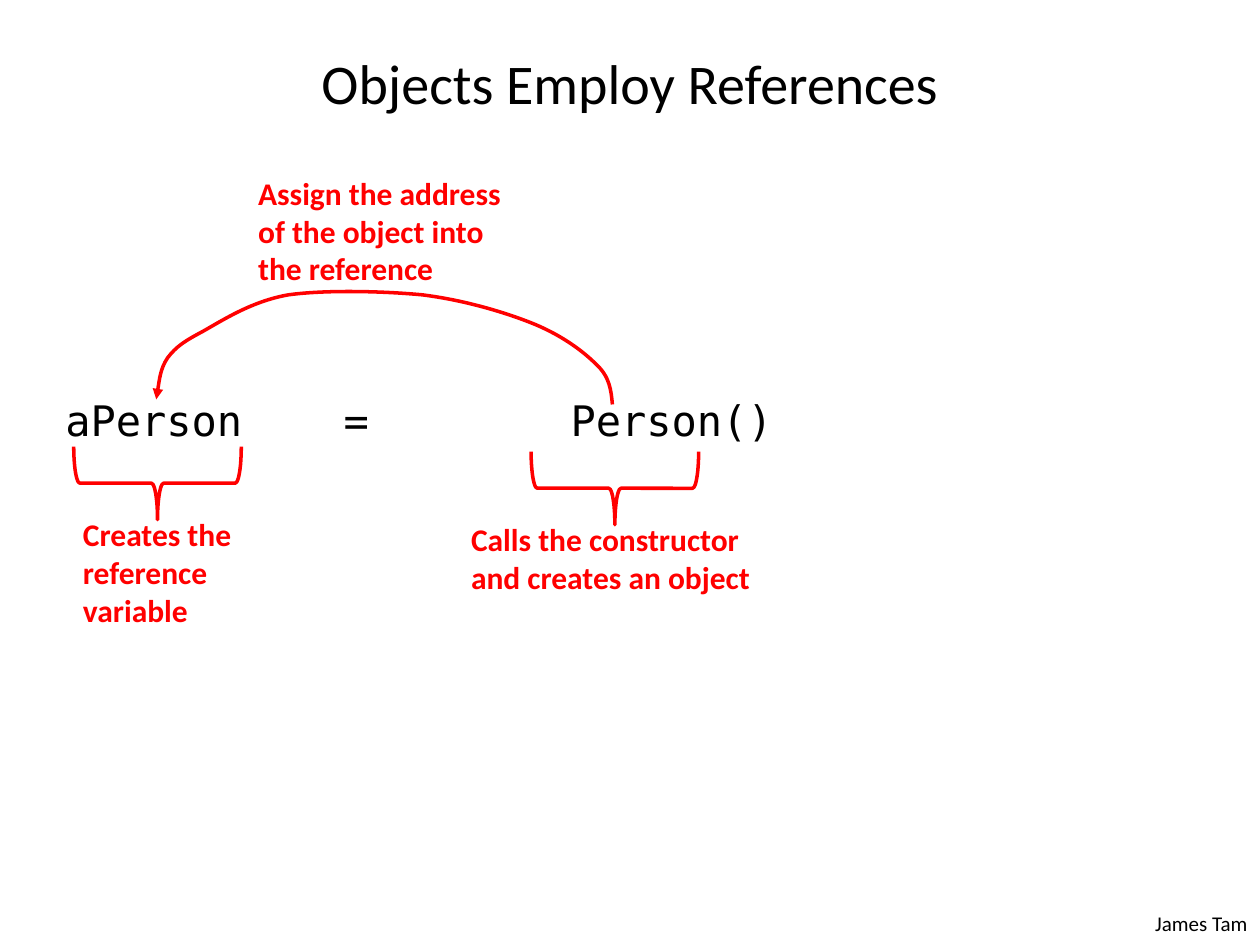
"""Build a slide on how assigning an object stores its address in a reference."""
from dataclasses import dataclass

from lxml import etree
from pptx import Presentation
from pptx.dml.color import RGBColor
from pptx.enum import shapes, text
from pptx.oxml.ns import qn
from pptx.util import Inches, Pt

COLORS = {"ink": "000000", "accent": "FF0000"}
BODY_FONT = "Calibri"
CODE_FONT = "DejaVu Sans Mono"
LINE_WIDTH = Pt(2)
BRACE_DEPTH, BRACE_SPAN = 0.58, 1.33
CODE_PARTS = ("aPerson", "=", "Person()")
CODE_TAB_STOPS = (2.21, 4.01)
ARROW_POINTS = (
    (4.86, 3.21),
    (4.85, 3.10), (4.84, 2.99), (4.73, 2.89),
    (4.62, 2.78), (4.44, 2.65), (4.21, 2.56),
    (3.98, 2.47), (3.67, 2.38), (3.35, 2.34),
    (3.03, 2.31), (2.58, 2.30), (2.29, 2.34),
    (2.00, 2.39), (1.77, 2.54), (1.61, 2.63),
    (1.46, 2.71), (1.40, 2.75), (1.33, 2.84),
    (1.27, 2.93), (1.24, 3.17), (1.24, 3.17),
)


@dataclass(frozen=True)
class Box:
    left: float
    top: float
    width: float
    height: float

    def lengths(self) -> tuple:
        return tuple(Inches(n) for n in (self.left, self.top, self.width, self.height))


@dataclass(frozen=True)
class BraceNote:
    wording: str
    box: Box
    brace_left: float
    brace_top: float


BRACE_NOTES = (
    BraceNote("Calls the constructor and creates an object",
              Box(3.64, 4.08, 2.5, 0.92), 4.59, 3.21),
    BraceNote("Creates the reference variable",
              Box(0.56, 4.04, 1.92, 0.92), 0.96, 3.17),
)


def add_run(paragraph, wording: str, size: float, color: str = "ink",
            font: str = BODY_FONT, bold: bool = False) -> None:
    run = paragraph.add_run()
    run.text = wording
    run.font.size = Pt(size)
    run.font.name = font
    run.font.bold = bold
    run.font.color.rgb = RGBColor.from_string(COLORS[color])


def add_text_box(container, box: Box):
    shape = container.add_textbox(*box.lengths())
    shape.text_frame.word_wrap = True
    return shape.text_frame.paragraphs[0]


def style_outline(shape) -> None:
    shape.shadow.inherit = False
    shape.fill.background()
    shape.line.color.rgb = RGBColor.from_string(COLORS["accent"])
    shape.line.width = LINE_WIDTH


def add_note(container, wording: str, box: Box) -> None:
    add_run(add_text_box(container, box), wording, 18, "accent", bold=True)


def add_brace_note(slide, note: BraceNote) -> None:
    group = slide.shapes.add_group_shape().shapes
    add_note(group, note.wording, note.box)
    box = Box(note.brace_left, note.brace_top, BRACE_DEPTH, BRACE_SPAN)
    brace = group.add_shape(shapes.MSO_SHAPE.RIGHT_BRACE, *box.lengths())
    brace.rotation = 90
    style_outline(brace)


def add_curved_arrow(container, points: tuple) -> None:
    start, *rest = [(Inches(x), Inches(y)) for x, y in points]
    builder = container.build_freeform(*start)
    builder.add_line_segments(rest, close=False)
    arrow = builder.convert_to_shape()
    style_outline(arrow)
    segments = list(arrow._element.iter(qn("a:lnTo")))
    for index in range(0, len(segments), 3):
        curve = etree.Element(qn("a:cubicBezTo"))
        segments[index].addprevious(curve)
        for segment in segments[index:index + 3]:
            curve.append(segment[0])
            segment.getparent().remove(segment)
    etree.SubElement(arrow.line._get_or_add_ln(), qn("a:tailEnd"), type="triangle")


def add_code(slide) -> None:
    paragraph = add_text_box(slide.shapes, Box(0.42, 3.08, 9, 0.5))
    tab_list = etree.SubElement(paragraph._p.get_or_add_pPr(), qn("a:tabLst"))
    for stop in CODE_TAB_STOPS:
        etree.SubElement(tab_list, qn("a:tab"), pos=str(Inches(stop)), algn="l")
    add_run(paragraph, "\t".join(CODE_PARTS), 24, font=CODE_FONT)


def add_title(slide) -> None:
    title = slide.shapes.title
    title.left, title.top, title.width, title.height = Box(0.5, 0.3, 9, 0.7).lengths()
    title.text_frame.vertical_anchor = text.MSO_ANCHOR.MIDDLE
    paragraph = title.text_frame.paragraphs[0]
    paragraph.alignment = text.PP_ALIGN.CENTER
    add_run(paragraph, "Objects Employ References", 32)


def main() -> None:
    presentation = Presentation()
    presentation.slide_width = Inches(10)
    presentation.slide_height = Inches(7.5)
    slide = presentation.slides.add_slide(presentation.slide_layouts[5])

    author = add_text_box(slide.shapes, Box(8.67, 7.18, 1.33, 0.3))
    author.alignment = text.PP_ALIGN.RIGHT
    add_run(author, "James Tam", 12)

    add_title(slide)
    add_code(slide)
    for note in BRACE_NOTES:
        add_brace_note(slide, note)

    assignment = slide.shapes.add_group_shape().shapes
    add_curved_arrow(assignment, ARROW_POINTS)
    add_note(assignment, "Assign the address of the object into the reference",
             Box(1.95, 1.33, 2.38, 1.15))
    presentation.save("out.pptx")


if __name__ == "__main__":
    main()
